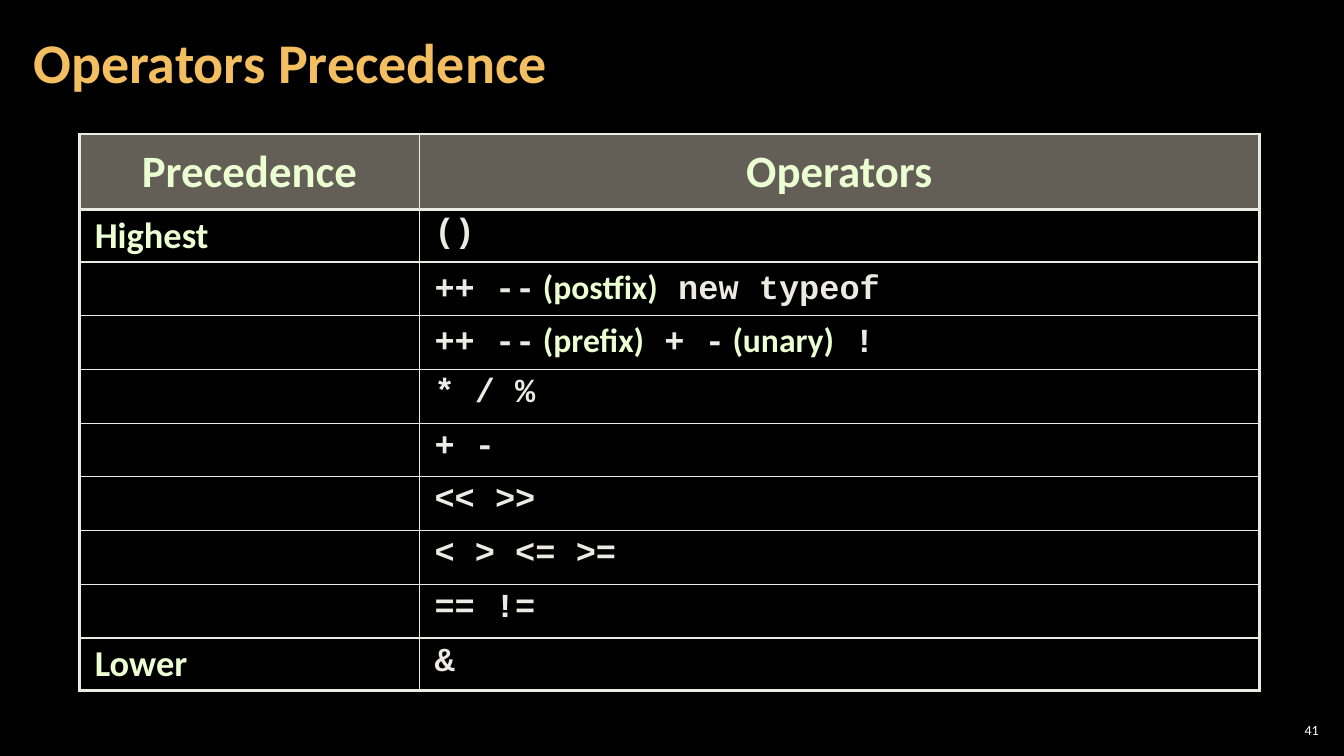
from lxml.etree import SubElement
from pptx import Presentation
from pptx.dml.color import RGBColor
from pptx.enum.text import MSO_ANCHOR, MSO_AUTO_SIZE, PP_ALIGN
from pptx.oxml.ns import qn
from pptx.util import Inches, Pt

BLACK = RGBColor(0x00, 0x00, 0x00)
WHITE = RGBColor(0xFF, 0xFF, 0xFF)
GOLD = RGBColor(0xF3, 0xBE, 0x60)
MINT = RGBColor(0xEB, 0xFF, 0xD2)
IVORY = RGBColor(0xEC, 0xEA, 0xE3)
STONE = RGBColor(0xC7, 0xBF, 0xAC)

HEADERS = ["Precedence", "Operators"]
LEVELS = [
    ("Highest", ["()"]),
    ("", ["++ --", " (postfix)", " new typeof"]),
    ("", ["++ --", " (prefix)", " + -", " (unary)", " !"]),
    ("", ["* / %"]),
    ("", ["+ -"]),
    ("", ["<< >>"]),
    ("", ["< > <= >="]),
    ("", ["== !="]),
    ("Lower", ["&"]),
]
COLUMN_WIDTHS = [3.37, 8.33]
ROW_HEIGHTS = [0.75, 0.51] + [3.73 / 7] * 7 + [0.51]
THICK, THIN = 2.25, 1


class SlideBuilder:
    text_font = "Calibri"
    code_font = "Courier New"

    def __init__(self, prs):
        self.s = prs.slides.add_slide(prs.slide_layouts[5])
        self.s.background.fill.solid()
        self.s.background.fill.fore_color.rgb = BLACK

    def add_text(self, p, text, size, color, bold=True, font=text_font):
        r = p.add_run()
        r.text = text
        r.font.size = Pt(size)
        r.font.name = font
        r.font.bold = bold
        r.font.color.rgb = color

    def frame(self, sp, box, side, align):
        sp.left, sp.top, sp.width, sp.height = [Inches(v) for v in box]
        tf = sp.text_frame
        tf.word_wrap = True
        tf.auto_size = MSO_AUTO_SIZE.NONE
        tf.vertical_anchor = MSO_ANCHOR.MIDDLE
        tf.margin_left = tf.margin_right = Inches(side)
        tf.margin_top = tf.margin_bottom = Inches(0.04)
        p = tf.paragraphs[0]
        p.alignment = align
        return p

    def title(self, text):
        p = self.frame(self.s.shapes.title, (0.21, 0.04, 10.47, 1.21), 0.12, PP_ALIGN.LEFT)
        p.line_spacing = 0.9
        self.add_text(p, text, 40, GOLD)

    def page_number(self, text):
        sp = self.s.shapes.add_textbox(0, 0, 0, 0)
        p = self.frame(sp, (12.65, 7.14, 0.47, 0.21), 0.04, PP_ALIGN.RIGHT)
        self.add_text(p, text, 10, WHITE, bold=False)

    def borders(self, cell, **widths):
        tcPr = cell._tc.get_or_add_tcPr()
        for side in "LRTB":
            ln = SubElement(tcPr, qn(f"a:ln{side}"), w=str(int(Pt(widths[side]))))
            fill = SubElement(ln, qn("a:solidFill"))
            SubElement(fill, qn("a:srgbClr"), val=str(IVORY))

    def cell(self, cell, anchor):
        cell.margin_left = cell.margin_right = Inches(0.15)
        cell.margin_top = cell.margin_bottom = Inches(0.05)
        cell.vertical_anchor = anchor
        p = cell.text_frame.paragraphs[0]
        p.line_spacing = 0.95
        return p

    def header_cell(self, cell, text):
        p = self.cell(cell, MSO_ANCHOR.MIDDLE)
        p.alignment = PP_ALIGN.CENTER
        self.add_text(p, text, 32, MINT)
        cell.fill.solid()
        cell.fill.fore_color.rgb = STONE
        color = cell._tc.tcPr.find(qn("a:solidFill")).find(qn("a:srgbClr"))
        SubElement(color, qn("a:alpha"), val="50000")

    def level_cell(self, cell, text):
        p = self.cell(cell, MSO_ANCHOR.MIDDLE)
        cell.fill.background()
        if text:
            self.add_text(p, text, 26, MINT)

    def operator_cell(self, cell, parts):
        p = self.cell(cell, MSO_ANCHOR.TOP)
        cell.fill.background()
        for i, part in enumerate(parts):
            if i % 2:
                self.add_text(p, part, 24, MINT)
            else:
                self.add_text(p, part, 24, IVORY, font=self.code_font)

    def precedence_table(self, left, top):
        rows, cols = len(ROW_HEIGHTS), len(COLUMN_WIDTHS)
        table = self.s.shapes.add_table(
            rows, cols, Inches(left), Inches(top),
            Inches(sum(COLUMN_WIDTHS)), Inches(sum(ROW_HEIGHTS))).table
        table.first_row = table.horz_banding = False
        for column, width in zip(table.columns, COLUMN_WIDTHS):
            column.width = Inches(width)
        for row, height in zip(table.rows, ROW_HEIGHTS):
            row.height = Inches(height)
        thick_lines = {0, 1, 2, rows}
        for i in range(rows):
            for j in range(cols):
                self.borders(
                    table.cell(i, j),
                    L=THIN if j else THICK,
                    R=THICK if j == cols - 1 else THIN,
                    T=THICK if i in thick_lines else THIN,
                    B=THICK if i + 1 in thick_lines else THIN)
        for j, text in enumerate(HEADERS):
            self.header_cell(table.cell(0, j), text)
        for i, (level, operators) in enumerate(LEVELS, 1):
            self.level_cell(table.cell(i, 0), level)
            self.operator_cell(table.cell(i, 1), operators)


def main():
    prs = Presentation()
    prs.slide_width, prs.slide_height = Inches(13.33), Inches(7.5)
    slide = SlideBuilder(prs)
    slide.title("Operators Precedence")
    slide.precedence_table(0.79, 1.33)
    slide.page_number("41")
    prs.save("out.pptx")


if __name__ == "__main__":
    main()
